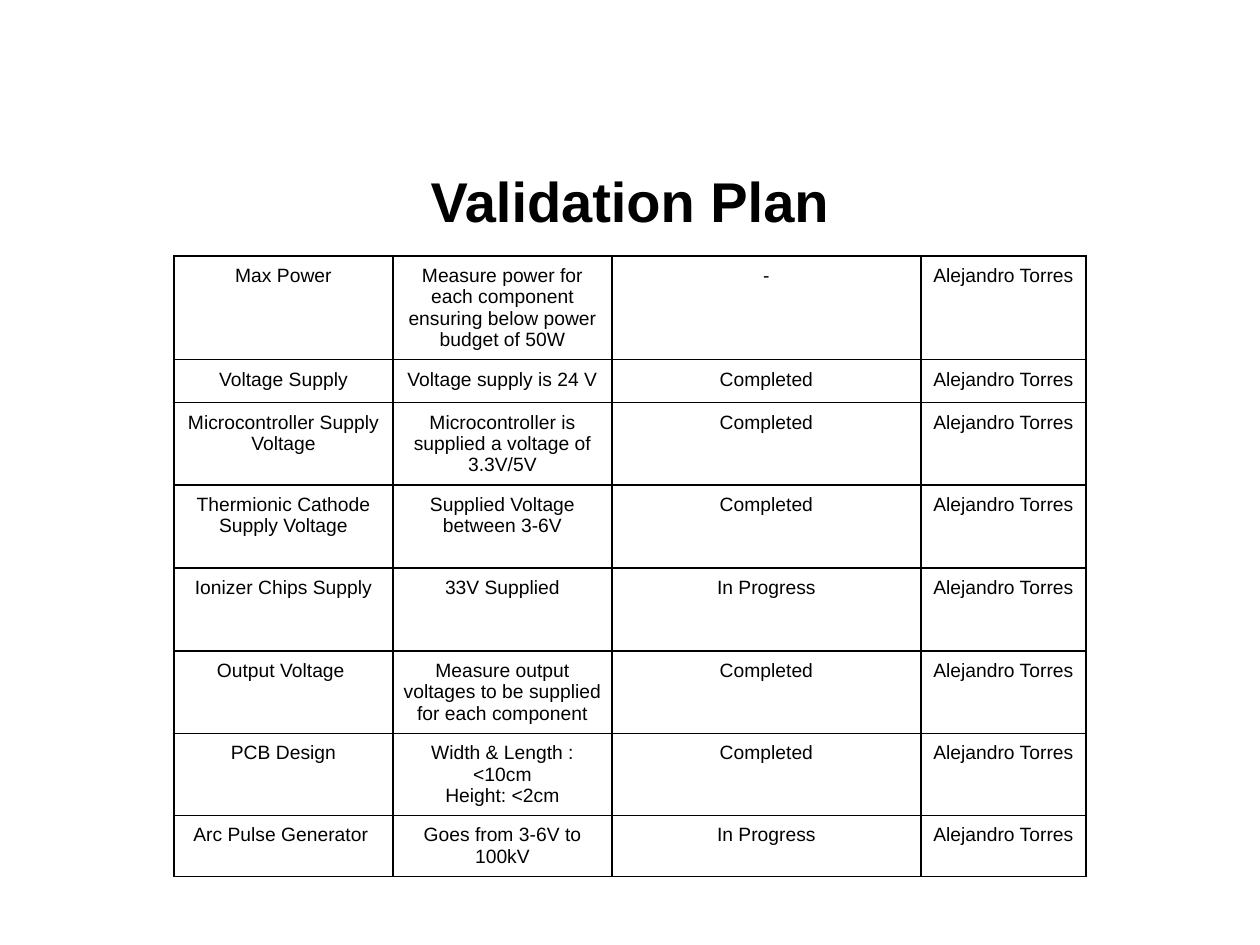
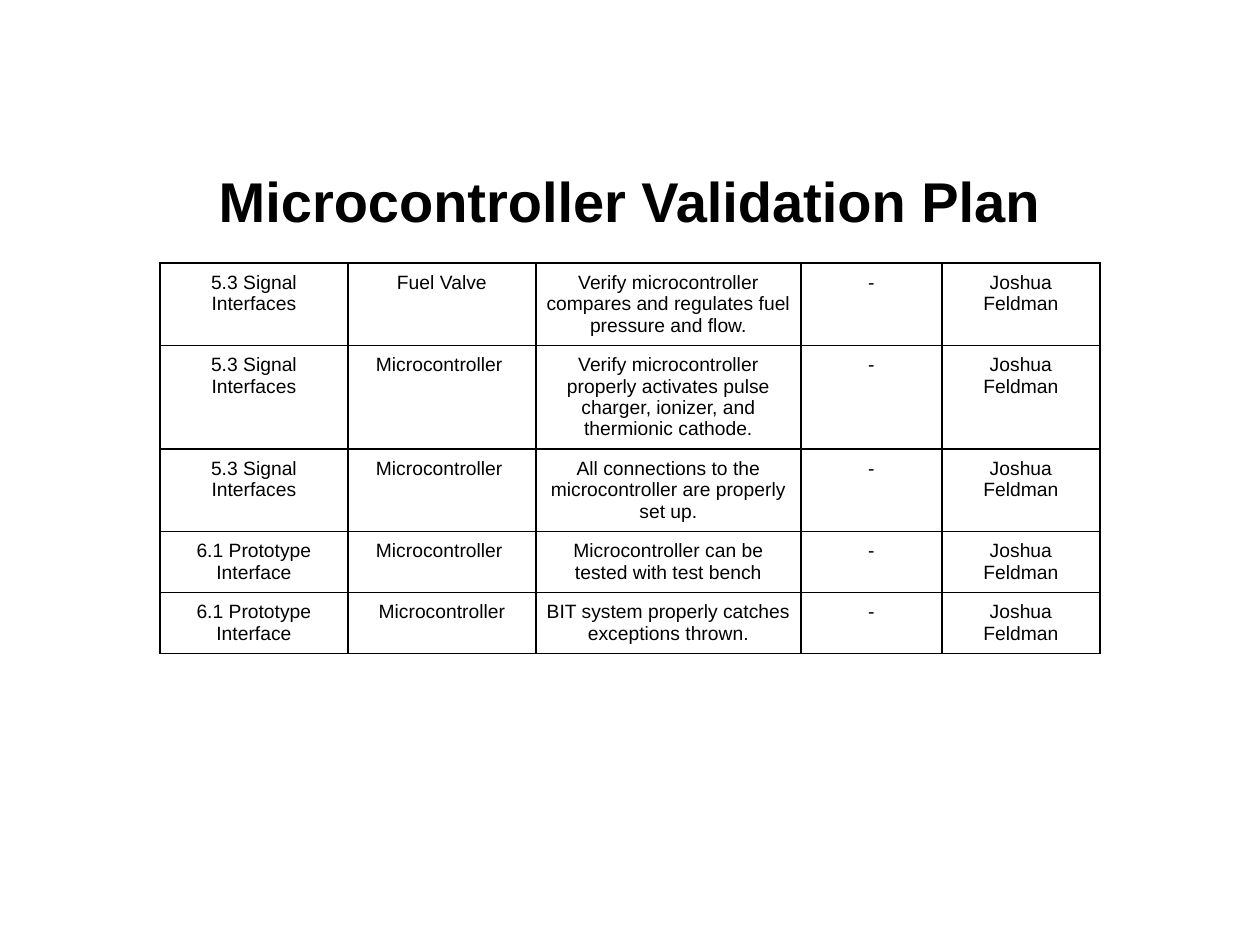
from lxml import etree
from pptx import Presentation
from pptx.dml.color import RGBColor
from pptx.enum.text import MSO_ANCHOR, MSO_AUTO_SIZE, PP_ALIGN
from pptx.oxml.ns import qn
from pptx.util import Emu, Pt

CENTER = PP_ALIGN.CENTER
TOP = MSO_ANCHOR.TOP
MIDDLE = MSO_ANCHOR.MIDDLE
NO_AUTOFIT = MSO_AUTO_SIZE.NONE

BLACK = RGBColor(0x00, 0x00, 0x00)
FONT = "Arial"
TITLE_SIZE = 32
CELL_SIZE = 11
CELL_INSET = 9
BORDER = Pt(1)
TITLE_BOX = (63, 145, 1134, 111)

POWER_OWNER = "Alejandro Torres"
CONTROLLER_OWNER = "Joshua Feldman"
SIGNALS = "5.3 Signal Interfaces"
PROTOTYPE = "6.1 Prototype Interface"

PLANS = [
    {
        "title": "Validation Plan",
        "origin": (174, 256),
        "columns": [219, 219, 309, 165],
        "heights": [103, 43, 82, 83, 83, 82, 81, 61],
        "owner": POWER_OWNER,
        "checks": [
            ("Max Power", "Measure power for each component ensuring below power budget of 50W", "-"),
            ("Voltage Supply", "Voltage supply is 24 V", "Completed"),
            ("Microcontroller Supply Voltage", "Microcontroller is supplied a voltage of 3.3V/5V", "Completed"),
            ("Thermionic Cathode Supply Voltage", "Supplied Voltage between 3-6V", "Completed"),
            ("Ionizer Chips Supply", "33V Supplied", "In Progress"),
            ("Output Voltage ", "Measure output voltages to be supplied for each component", "Completed"),
            ("PCB Design", "Width & Length : <10cm\nHeight: <2cm", "Completed"),
            ("Arc Pulse Generator ", "Goes from 3-6V to 100kV", "In Progress"),
        ],
    },
    {
        "title": "Microcontroller Validation Plan",
        "origin": (160, 263),
        "columns": [188, 188, 265, 141, 158],
        "heights": [82, 103, 82, 61, 61],
        "owner": CONTROLLER_OWNER,
        "checks": [
            (SIGNALS, "Fuel Valve", "Verify microcontroller compares and regulates fuel pressure and flow.", "-"),
            (SIGNALS, "Microcontroller ",
             "Verify microcontroller properly activates pulse charger, ionizer, and thermionic cathode.", "-"),
            (SIGNALS, "Microcontroller ", "All connections to the microcontroller are properly set up.", "-"),
            (PROTOTYPE, "Microcontroller ", "Microcontroller can be tested with test bench", "-"),
            (PROTOTYPE, "Microcontroller", "BIT system properly catches exceptions thrown.", "-"),
        ],
    },
]


def px(length):
    return Emu(round(length * 914400 / 126))


def write(frame, text, size, bold=False):
    for index, line in enumerate(text.split("\n")):
        paragraph = frame.add_paragraph() if index else frame.paragraphs[0]
        paragraph.alignment = CENTER
        run = paragraph.add_run()
        run.text = line
        run.font.name = FONT
        run.font.size = Pt(size)
        run.font.bold = bold
        run.font.color.rgb = BLACK


deck = Presentation()
deck.slide_width = px(1260)
deck.slide_height = px(945)
title_only = deck.slide_layouts[5]

for plan in PLANS:
    slide = deck.slides.add_slide(title_only)
    heading = slide.shapes.title
    heading.left, heading.top, heading.width, heading.height = map(px, TITLE_BOX)
    heading.text_frame.word_wrap = True
    heading.text_frame.auto_size = NO_AUTOFIT
    heading.text_frame.vertical_anchor = MIDDLE
    write(heading.text_frame, plan["title"], TITLE_SIZE, bold=True)

    columns, heights = plan["columns"], plan["heights"]
    left, top = plan["origin"]
    checklist = slide.shapes.add_table(
        len(heights), len(columns), px(left), px(top), px(sum(columns)), px(sum(heights))
    ).table
    checklist.first_row = False
    checklist.horz_banding = False
    for column, width in zip(checklist.columns, columns):
        column.width = px(width)

    for row, height, check in zip(checklist.rows, heights, plan["checks"]):
        row.height = px(height)
        for cell, text in zip(row.cells, (*check, plan["owner"])):
            cell.margin_left = cell.margin_right = px(CELL_INSET)
            cell.margin_top = cell.margin_bottom = px(CELL_INSET)
            cell.vertical_anchor = TOP
            write(cell.text_frame, text, CELL_SIZE)
            properties = cell._tc.get_or_add_tcPr()
            for side in ("a:lnL", "a:lnR", "a:lnT", "a:lnB"):
                edge = etree.SubElement(properties, qn(side), w=str(BORDER))
                fill = etree.SubElement(edge, qn("a:solidFill"))
                etree.SubElement(fill, qn("a:srgbClr"), val=str(BLACK))
            cell.fill.background()

deck.save("out.pptx")
